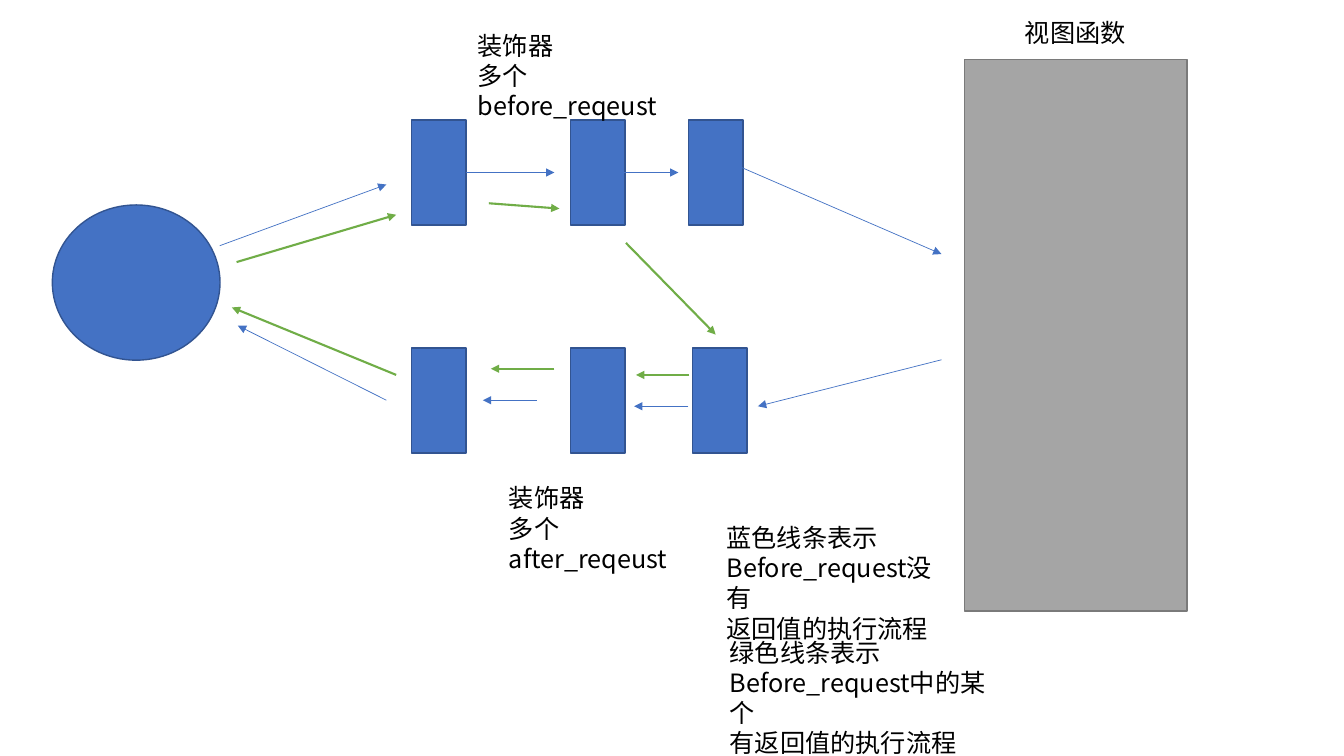
"""Build a slide showing the request flow through before and after decorators."""
from pptx import Presentation
from pptx.dml.color import RGBColor
from pptx.enum.shapes import MSO_CONNECTOR, MSO_SHAPE
from pptx.enum.text import MSO_AUTO_SIZE
from pptx.oxml.ns import qn
from pptx.util import Pt
from lxml.etree import SubElement

BLUE = RGBColor(0x44, 0x72, 0xC4)
DARK_BLUE = RGBColor(0x32, 0x54, 0x91)
GRAY = RGBColor(0xA5, 0xA5, 0xA5)
DARK_GRAY = RGBColor(0x7A, 0x7A, 0x7A)
GREEN = RGBColor(0x70, 0xAD, 0x47)
BLACK = RGBColor(0, 0, 0)
FONT = "Noto Sans CJK SC"

prs = Presentation()
prs.slide_width, prs.slide_height = Pt(960), Pt(540)
s = prs.slides.add_slide(prs.slide_layouts[6])


def add_block(kind, x, y, w, h, fill, line):
    sp = s.shapes.add_shape(kind, Pt(x), Pt(y), Pt(w), Pt(h))
    sp.shadow.inherit = False
    sp.fill.solid()
    sp.fill.fore_color.rgb = fill
    sp.line.color.rgb = line
    sp.line.width = Pt(1)


add_block(MSO_SHAPE.OVAL, 37.4, 146.4, 119.8, 110.9, BLUE, DARK_BLUE)
add_block(MSO_SHAPE.RECTANGLE, 689, 42.5, 159, 394, GRAY, DARK_GRAY)
decorator_rows = [(85.7, (294, 407.7, 491.8)), (248.6, (294, 407.7, 494.8))]
for y, lefts in decorator_rows:
    for x in lefts:
        add_block(MSO_SHAPE.RECTANGLE, x, y, 38.9, 75, BLUE, DARK_BLUE)

no_return_flow = [
    (157, 175.5, 276, 131.8), (332.6, 123.2, 396, 123.2),
    (421.2, 123.2, 484.6, 123.2), (521.3, 116, 672.5, 181.5),
    (672.5, 257, 541.4, 290.2), (491.8, 290.2, 452.9, 290.2),
    (383.3, 285.9, 344.9, 285.9), (276, 285.9, 169.9, 232.6),
]
return_flow = [
    (169, 187.2, 283, 153.4), (349.2, 145.2, 399.6, 149),
    (447.1, 173.5, 511.2, 239), (492.5, 267.8, 454.3, 267.8),
    (396, 263.4, 350.6, 263.4), (283, 267.8, 165.6, 219.6),
]
for color, width, arrows in [(BLUE, 0.5, no_return_flow), (GREEN, 1.5, return_flow)]:
    for ends in arrows:
        arrow = s.shapes.add_connector(MSO_CONNECTOR.STRAIGHT, *map(Pt, ends))
        arrow.line.color.rgb = color
        arrow.line.width = Pt(width)
        SubElement(arrow.line._get_or_add_ln(), qn("a:tailEnd"), type="triangle")
        SubElement(arrow._element.spPr, qn("a:effectLst"))

labels = [
    (356.4, 341.3, 152.6, 51, "装饰器\n多个after_reqeust"),
    (334.1, 18, 168.5, 51, "装饰器\n多个before_reqeust"),
    (725, 8.6, 87.2, 29, "视图函数"),
    (511.9, 369.4, 167.8, 72.7, "蓝色线条表示\nBefore_request没有\n返回值的执行流程"),
    (514.1, 451.4, 204.5, 72.7, "绿色线条表示\nBefore_request中的某个\n有返回值的执行流程"),
]
for x, y, w, h, text in labels:
    tf = s.shapes.add_textbox(Pt(x), Pt(y), Pt(w), Pt(h)).text_frame
    tf.word_wrap = True
    tf.auto_size = MSO_AUTO_SIZE.SHAPE_TO_FIT_TEXT
    tf.text = text
    for p in tf.paragraphs:
        p.line_spacing = Pt(21.6)
        for r in p.runs:
            r.font.name = FONT
            r.font.size = Pt(18)
            r.font.color.rgb = BLACK
            SubElement(r.font._element, qn("a:ea"), typeface=FONT)

prs.save("out.pptx")
